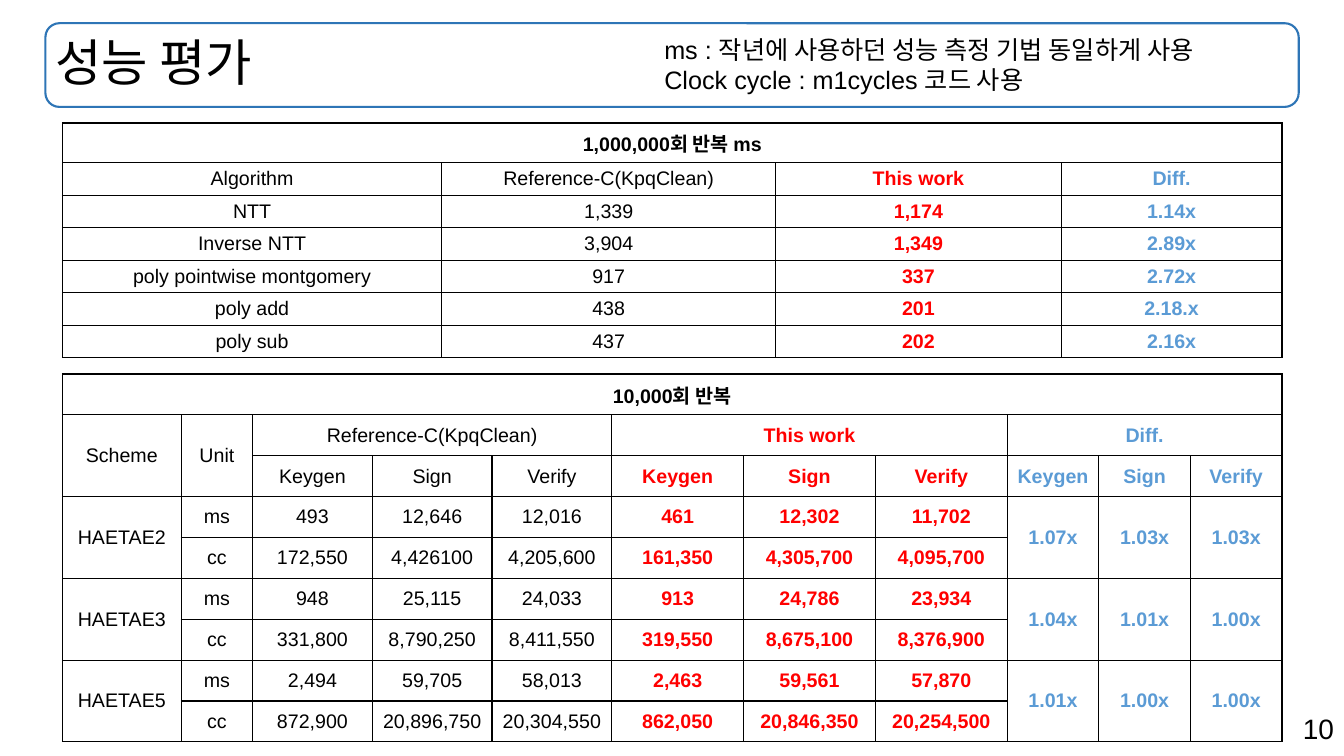
import pptx
import pptx.util
import pptx.dml.color
import pptx.enum.shapes
import pptx.enum.text
import pptx.oxml
import pptx.oxml.ns

COLORS = {"black": "000000", "white": "FFFFFF", "red": "FF0000",
          "blue": "5B9BD5", "frame": "2E75B6"}
FONT = "Arial"
SLIDE_WIDTH = pptx.util.Inches(13.33)
SLIDE_HEIGHT = pptx.util.Inches(7.5)
ALIGN = pptx.enum.text.PP_ALIGN
ANCHOR = pptx.enum.text.MSO_ANCHOR

TITLE_AREA = (3.38, 3.07, 93.25, 11.07)
NOTE_AREA = (48.69, 3.87, 46.66, 9.47)
NUMBER_AREA = (70.74, 93.47, 29.26, 5.87)
FUNCTION_AREA = (4.65, 16.27, 90.75, 31.07)
SCHEME_AREA = (4.65, 49.47, 90.75, 48.67)

FUNCTION_ROWS = [
    ["1,000,000회 반복 ms"],
    ["Algorithm", "Reference-C(KpqClean)", "This work", "Diff."],
    ["NTT", "1,339", "1,174", "1.14x"],
    ["Inverse NTT", "3,904", "1,349", "2.89x"],
    ["poly pointwise montgomery", "917", "337", "2.72x"],
    ["poly add", "438", "201", "2.18.x"],
    ["poly sub", "437", "202", "2.16x"],
]
STEPS = ["Keygen", "Sign", "Verify"]
SCHEME_ROWS = [
    ["10,000회 반복"],
    ["Scheme", "Unit", "Reference-C(KpqClean)", "", "", "This work", "", "", "Diff."],
    ["", ""] + STEPS * 3,
    ["HAETAE2", "ms", "493", "12,646", "12,016", "461", "12,302", "11,702",
     "1.07x", "1.03x", "1.03x"],
    ["", "cc", "172,550", "4,426100", "4,205,600", "161,350", "4,305,700", "4,095,700"],
    ["HAETAE3", "ms", "948", "25,115", "24,033", "913", "24,786", "23,934",
     "1.04x", "1.01x", "1.00x"],
    ["", "cc", "331,800", "8,790,250", "8,411,550", "319,550", "8,675,100", "8,376,900"],
    ["HAETAE5", "ms", "2,494", "59,705", "58,013", "2,463", "59,561", "57,870",
     "1.01x", "1.00x", "1.00x"],
    ["", "cc", "872,900", "20,896,750", "20,304,550", "862,050", "20,846,350", "20,254,500"],
]


def rgb(name):
    return pptx.dml.color.RGBColor.from_string(COLORS[name])


def place(area):
    left, top, width, height = area
    return (int(SLIDE_WIDTH * left / 100), int(SLIDE_HEIGHT * top / 100),
            int(SLIDE_WIDTH * width / 100), int(SLIDE_HEIGHT * height / 100))


def style(paragraph, size, color="black", bold=False, align=ALIGN.LEFT):
    paragraph.alignment = align
    paragraph.font.name = FONT
    paragraph.font.size = pptx.util.Pt(size)
    paragraph.font.bold = bold
    paragraph.font.color.rgb = rgb(color)


def add_text(slide, area, lines, size, align=ALIGN.LEFT, anchor=ANCHOR.TOP, spacing=1.0):
    frame = slide.shapes.add_textbox(*place(area)).text_frame
    frame.word_wrap = True
    frame.vertical_anchor = anchor
    frame.text = "\n".join(lines)
    for paragraph in frame.paragraphs:
        style(paragraph, size, align=align)
        paragraph.line_spacing = spacing


def add_title_frame(slide):
    shape = slide.shapes.add_shape(
        pptx.enum.shapes.MSO_SHAPE.ROUNDED_RECTANGLE, *place(TITLE_AREA))
    shape.shadow.inherit = False
    shape.fill.background()
    shape.line.color.rgb = rgb("frame")
    shape.line.width = pptx.util.Pt(1.5)


def set_borders(cell):
    properties = cell._tc.get_or_add_tcPr()
    for position, side in enumerate(("lnL", "lnR", "lnT", "lnB")):
        properties.insert(position, pptx.oxml.parse_xml(
            f'<a:{side} {pptx.oxml.ns.nsdecls("a")} w="12700"><a:solidFill>'
            f'<a:srgbClr val="{COLORS["black"]}"/></a:solidFill></a:{side}>'))


def style_cell(cell, color, bold):
    cell.fill.solid()
    cell.fill.fore_color.rgb = rgb("white")
    cell.vertical_anchor = ANCHOR.MIDDLE
    cell.margin_top = cell.margin_bottom = pptx.util.Inches(0.03)
    style(cell.text_frame.paragraphs[0], 14, color, bold, ALIGN.CENTER)
    set_borders(cell)


def add_grid(slide, area, rows, column_weights, row_weights, red_start, blue_start, merges):
    bounds = place(area)
    table = slide.shapes.add_table(len(rows), len(column_weights), *bounds).table
    table.first_row = table.horz_banding = False
    for column, weight in zip(table.columns, column_weights):
        column.width = int(bounds[2] * weight / sum(column_weights))
    for row, weight in zip(table.rows, row_weights):
        row.height = int(bounds[3] * weight / sum(row_weights))
    for row_index, texts in enumerate(rows):
        for column_index in range(len(column_weights)):
            cell = table.cell(row_index, column_index)
            if column_index < len(texts):
                cell.text = texts[column_index]
            color = "black"
            if row_index and column_index >= red_start:
                color = "blue" if column_index >= blue_start else "red"
            style_cell(cell, color, row_index == 0 or color != "black")
    for top, left, bottom, right in merges:
        table.cell(top, left).merge(table.cell(bottom, right))


def main():
    presentation = pptx.Presentation()
    presentation.slide_width = SLIDE_WIDTH
    presentation.slide_height = SLIDE_HEIGHT
    slide = presentation.slides.add_slide(presentation.slide_layouts[6])

    add_text(slide, NUMBER_AREA, ["10"], 20, align=ALIGN.RIGHT)
    add_title_frame(slide)
    add_text(slide, TITLE_AREA, ["성능 평가"], 36, anchor=ANCHOR.MIDDLE, spacing=0.9)
    add_grid(slide, FUNCTION_AREA, FUNCTION_ROWS, [3.76, 3.31, 2.83, 2.19],
             [0.39] + [0.32] * 6, 2, 3, [(0, 0, 0, 3)])

    header_merges = [(0, 0, 0, 10), (1, 0, 2, 0), (1, 1, 2, 1)]
    group_merges = [(1, left, 1, left + 2) for left in (2, 5, 8)]
    scheme_merges = [(top, column, top + 1, column)
                     for top in (3, 5, 7) for column in (0, 8, 9, 10)]
    add_grid(slide, SCHEME_AREA, SCHEME_ROWS,
             [1.18, 0.71] + [1.19] * 3 + [1.31] * 3 + [0.91] * 3, [1] * 9, 5, 8,
             header_merges + group_merges + scheme_merges)
    add_text(slide, NOTE_AREA, ["ms : 작년에 사용하던 성능 측정 기법 동일하게 사용",
                                "Clock cycle : m1cycles 코드 사용"], 18)
    presentation.save("out.pptx")


if __name__ == "__main__":
    main()
